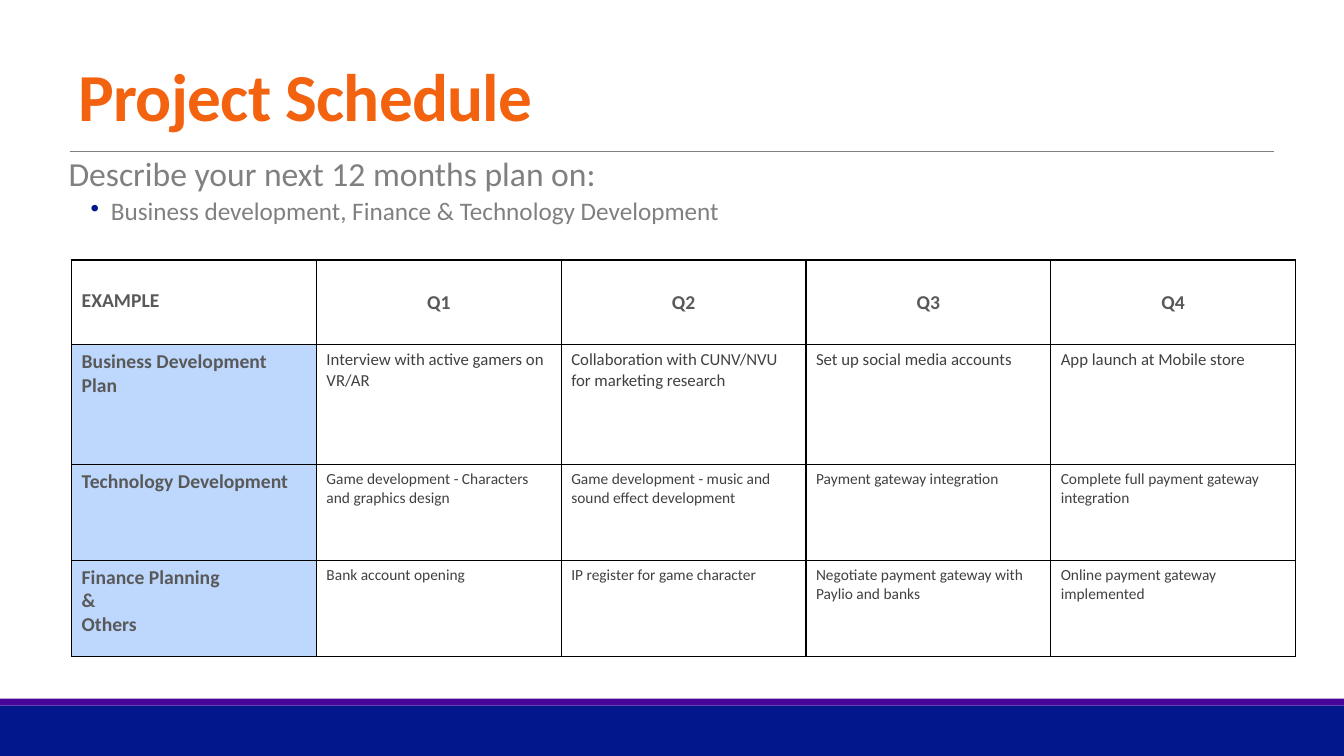
from dataclasses import dataclass

from lxml import etree
from pptx import Presentation
from pptx.dml.color import RGBColor
from pptx.enum.shapes import MSO_CONNECTOR, MSO_SHAPE
from pptx.enum.text import MSO_ANCHOR, PP_ALIGN
from pptx.oxml.ns import qn
from pptx.util import Inches, Pt

RECT = MSO_SHAPE.RECTANGLE
LINE = MSO_CONNECTOR.STRAIGHT
TOP, MIDDLE, BOTTOM = MSO_ANCHOR.TOP, MSO_ANCHOR.MIDDLE, MSO_ANCHOR.BOTTOM
LEFT, CENTER = PP_ALIGN.LEFT, PP_ALIGN.CENTER

WIDTH, HEIGHT = Inches(13.33), Inches(7.5)
FONT = "Calibri"
NAVY, PURPLE, ORANGE, GRAY = "03178C", "480599", "F2620F", "808080"
HEAD, BODY, BLACK, BLUE = "595959", "404040", "000000", "BDD7FD"


@dataclass
class Band:
    top: float
    height: float
    color: str


@dataclass
class Row:
    height: float
    size: int
    label: str
    plans: list[str]


BANDS = [Band(93.33, 6.67, NAVY), Band(92.4, 0.93, PURPLE)]
QUARTERS = ["Q1", "Q2", "Q3", "Q4"]
HEADER = 11.2
ROWS = [
    Row(15.87, 12, "Business Development Plan", [
        "Interview with active gamers on VR/AR",
        "Collaboration with CUNV/NVU for marketing research",
        "Set up social media accounts",
        "App launch at Mobile store"]),
    Row(12.67, 11, "Technology Development", [
        "Game development - Characters and graphics design",
        "Game development - music and sound effect development",
        "Payment gateway integration",
        "Complete full payment gateway integration"]),
    Row(12.67, 11, "Finance Planning\n&\nOthers", [
        "Bank account opening",
        "IP register for game character",
        "Negotiate payment gateway with Paylio and banks",
        "Online payment gateway implemented"]),
]


def across(share: float) -> int:
    """Length for a percentage of the slide's width."""
    return round(WIDTH * share / 100)


def down(share: float) -> int:
    """Length for a percentage of the slide's height."""
    return round(HEIGHT * share / 100)


def paint(target, color: str) -> None:
    """Give a fill a solid colour."""
    target.solid()
    target.fore_color.rgb = RGBColor.from_string(color)


def style(para, size: int, color: str, bold: bool = False) -> None:
    font = para.font
    font.name, font.size, font.bold = FONT, Pt(size), bold
    paint(font.fill, color)


def add_band(slide, band: Band) -> None:
    shape = slide.shapes.add_shape(
        RECT, 0, down(band.top), WIDTH, down(band.height))
    shape.shadow.inherit = False
    shape.line.fill.background()
    paint(shape.fill, band.color)


def add_rule(slide) -> None:
    rule = slide.shapes.add_connector(
        LINE, across(5.18), down(20), across(94.82), down(20))
    rule.line.width = Pt(0.5)
    paint(rule.line.fill, GRAY)
    etree.SubElement(rule._element.spPr, qn("a:effectLst"))


def add_box(slide, top: float, height: float):
    """Add a wrapping text box in the main column and return its frame."""
    box = slide.shapes.add_textbox(
        across(5.1), down(top), across(89.8), down(height))
    box.text_frame.word_wrap = True
    return box.text_frame


def add_title(slide) -> None:
    frame = add_box(slide, 4.13, 14.4)
    frame.vertical_anchor = BOTTOM
    para = frame.paragraphs[0]
    para.text = "Project Schedule"
    para.line_spacing = 0.85
    style(para, 48, ORANGE, True)
    para._p.pPr.find(qn("a:defRPr")).set("spc", "-50")


def add_bullet(para) -> None:
    props = para._p.get_or_add_pPr()
    props.set("marL", str(Inches(0.42)))
    props.set("indent", str(Inches(-0.2)))
    color = etree.Element(qn("a:buClr"))
    etree.SubElement(color, qn("a:srgbClr"), val=NAVY)
    mark = etree.Element(qn("a:buChar"), char="•")
    font = props.find(qn("a:defRPr"))
    font.addprevious(color)
    font.addprevious(mark)


def add_intro(slide) -> None:
    frame = add_box(slide, 20.13, 14.67)
    frame.margin_left = frame.margin_right = 0
    lead = frame.paragraphs[0]
    lead.text = "Describe your next 12 months plan on:"
    lead.space_after = Pt(2)
    style(lead, 24, GRAY)
    item = frame.add_paragraph()
    item.text = "Business development, Finance & Technology Development"
    item.level = 1
    item.space_before, item.space_after = Pt(2), Pt(4)
    style(item, 18, GRAY)
    add_bullet(item)
    for para in frame.paragraphs:
        para.line_spacing = 0.9


def add_border(cell) -> None:
    props = cell._tc.get_or_add_tcPr()
    for side in ("a:lnL", "a:lnR", "a:lnT", "a:lnB"):
        line = etree.SubElement(props, qn(side), w=str(Pt(1)))
        fill = etree.SubElement(line, qn("a:solidFill"))
        etree.SubElement(fill, qn("a:srgbClr"), val=BLACK)


def fill_cell(cell, text: str, size: int, color: str, bold: bool = False,
              back: str = "", align=LEFT, anchor=TOP) -> None:
    cell.text = text
    cell.vertical_anchor = anchor
    add_border(cell)
    if back:
        paint(cell.fill, back)
    else:
        cell.fill.background()
    for para in cell.text_frame.paragraphs:
        para.alignment = align
        style(para, size, color, bold)


def add_plan(slide) -> None:
    heights = [HEADER] + [row.height for row in ROWS]
    count = len(QUARTERS) + 1
    table = slide.shapes.add_table(
        len(heights), count, across(5.33), down(34.4),
        across(91.07), down(sum(heights))).table
    table.first_row = table.horz_banding = False
    for line, height in zip(table.rows, heights):
        line.height = down(height)
    for column in table.columns:
        column.width = across(91.07 / count)
    corner = table.cell(0, 0)
    fill_cell(corner, "EXAMPLE", 14, HEAD, True)
    corner.margin_top = down(3.85)
    for col, name in enumerate(QUARTERS, 1):
        fill_cell(table.cell(0, col), name, 14, HEAD, True,
                  align=CENTER, anchor=MIDDLE)
    for num, row in enumerate(ROWS, 1):
        fill_cell(table.cell(num, 0), row.label, 14, HEAD, True, BLUE)
        for col, plan in enumerate(row.plans, 1):
            fill_cell(table.cell(num, col), plan, row.size, BODY)


def main() -> None:
    deck = Presentation()
    deck.slide_width, deck.slide_height = WIDTH, HEIGHT
    slide = deck.slides.add_slide(deck.slide_layouts[6])
    for band in BANDS:
        add_band(slide, band)
    add_rule(slide)
    add_title(slide)
    add_intro(slide)
    add_plan(slide)
    deck.save("out.pptx")


if __name__ == "__main__":
    main()
